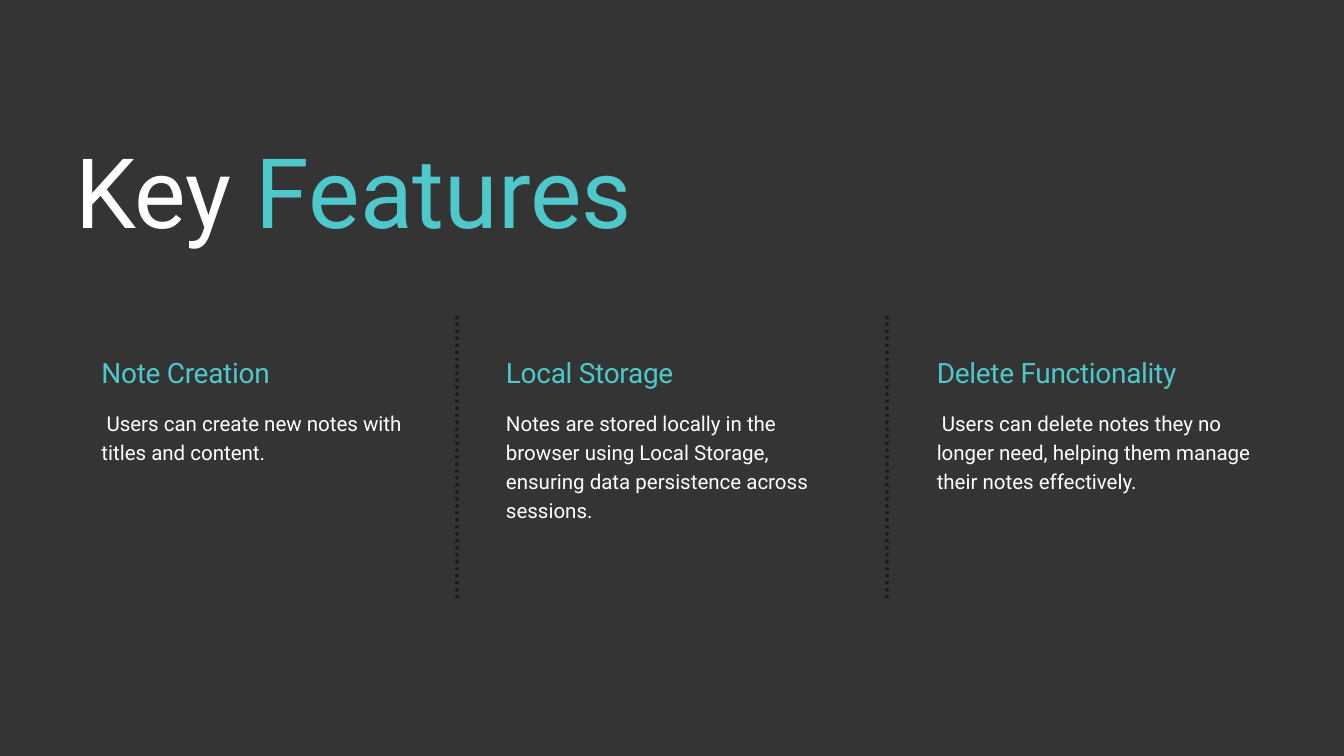
from pptx import Presentation
from pptx.dml.color import RGBColor
from pptx.enum.dml import MSO_LINE
from pptx.enum.shapes import MSO_CONNECTOR as Conn
from pptx.enum.text import MSO_ANCHOR as Anchor, MSO_AUTO_SIZE as Fit, PP_ALIGN as Align
from pptx.oxml.ns import qn
from pptx.util import Inches, Pt
from lxml.etree import SubElement

TEAL, WHITE, DARK, DOTS = "4EC8CA", "FFFFFF", "343434", "1B1B1B"


def color(code):
    return RGBColor.from_string(code)


def write(frame, parts, size, lead, track=0):
    """Fill a frame with one paragraph of (text, colour) parts."""
    frame.margin_left = frame.margin_right = 0
    frame.margin_top = frame.margin_bottom = 0
    frame.word_wrap = True
    frame.auto_size = Fit.NONE
    frame.vertical_anchor = Anchor.TOP
    para = frame.paragraphs[0]
    para.alignment = Align.LEFT
    para.line_spacing = Pt(lead)
    for text, shade in parts:
        run = para.add_run()
        run.text = text
        run.font.name = "Roboto"
        run.font.size = Pt(size)
        run.font.color.rgb = color(shade)
        if track:
            run.font._element.set("spc", str(round(track * 100)))


class Deck:
    def __init__(self, wide, high):
        self.show = Presentation()
        self.show.slide_width = Inches(wide)
        self.show.slide_height = Inches(high)
        self.slide = self.show.slides.add_slide(self.show.slide_layouts[5])
        fill = self.slide.background.fill
        fill.solid()
        fill.fore_color.rgb = color(DARK)

    def title(self, left, top, wide, high, parts):
        box = self.slide.shapes.title
        box.left, box.top = Inches(left), Inches(top)
        box.width, box.height = Inches(wide), Inches(high)
        write(box.text_frame, parts, size=104.1, lead=124.9)

    def text(self, left, top, wide, high, text, shade, **style):
        box = self.slide.shapes.add_textbox(
            Inches(left), Inches(top), Inches(wide), Inches(high))
        write(box.text_frame, [(text, shade)], **style)

    def feature(self, left, head, body, high):
        self.text(left, 5.29, 4.94, 0.5, head, TEAL, size=30, lead=36, track=-0.3)
        self.text(left, 6.06, 4.94, high, body, WHITE, size=22, lead=30.8)

    def divider(self, x):
        line = self.slide.shapes.add_connector(
            Conn.STRAIGHT, Inches(x), Inches(8.88), Inches(x), Inches(4.72))
        line.line.color.rgb = color(DOTS)
        line.line.width = Pt(3.75)
        line.line.dash_style = MSO_LINE.ROUND_DOT
        props = line._element.spPr
        props.find(qn("a:ln")).set("cap", "rnd")
        SubElement(props, qn("a:effectLst"))


def main():
    deck = Deck(20, 11.25)
    deck.title(1.12, 1.95, 17.4, 1.73, [("Key ", WHITE), ("Features", TEAL)])

    # Three features side by side
    features = [
        (1.51, "Note Creation",
         " Users can create new notes with titles and content.", 1.25),
        (7.53, "Local Storage",
         "Notes are stored locally in the browser using Local Storage, "
         "ensuring data persistence across sessions.", 2.11),
        (13.94, "Delete Functionality",
         " Users can delete notes they no longer need, helping them manage "
         "their notes effectively.", 1.68),
    ]
    for feature in features:
        deck.feature(*feature)

    # Dotted rules between the columns
    for x in (6.8, 13.2):
        deck.divider(x)

    deck.show.save("out.pptx")


if __name__ == "__main__":
    main()
